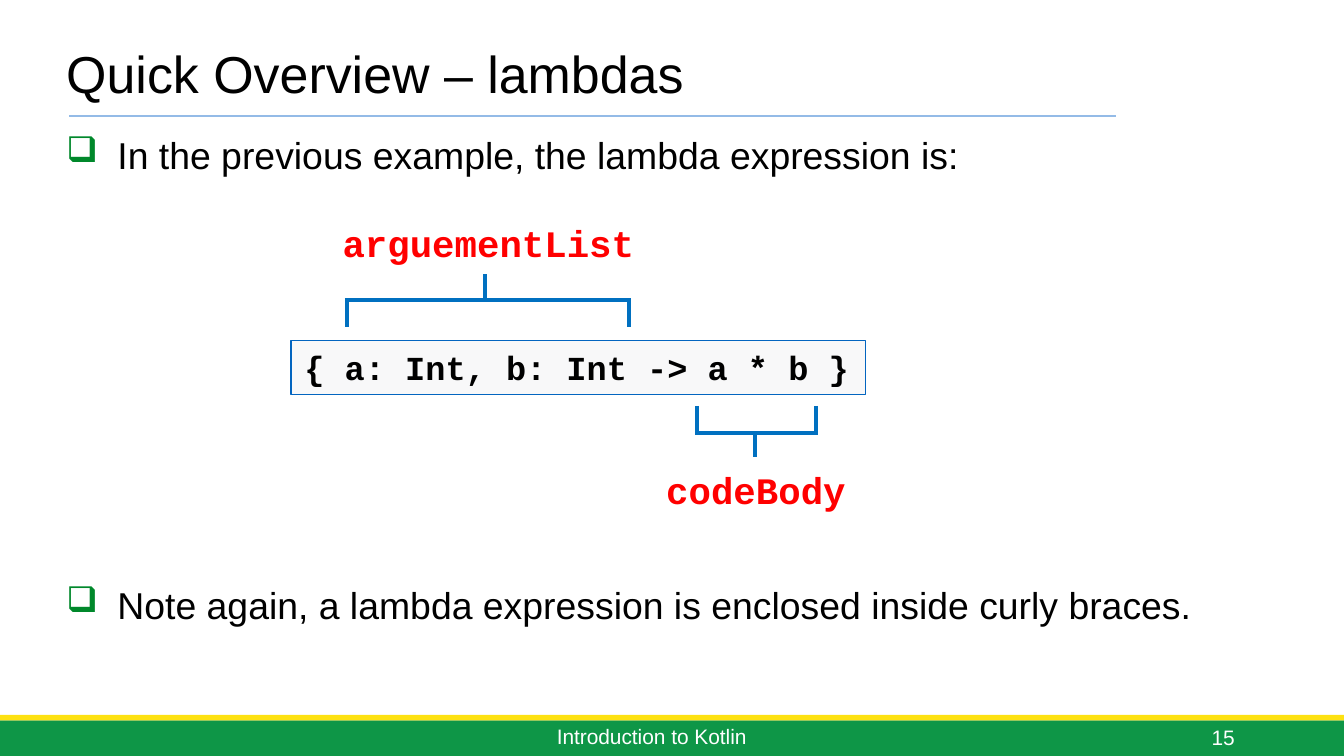
"""Build the Kotlin lambda syntax slide."""
from dataclasses import dataclass

from lxml import etree
from pptx import Presentation
from pptx.dml.color import RGBColor
from pptx.enum.shapes import MSO_CONNECTOR, MSO_SHAPE
from pptx.enum.text import MSO_ANCHOR, PP_ALIGN
from pptx.oxml.ns import qn
from pptx.util import Pt

RECTANGLE = MSO_SHAPE.RECTANGLE
STRAIGHT = MSO_CONNECTOR.STRAIGHT
TOP, BOTTOM = MSO_ANCHOR.TOP, MSO_ANCHOR.BOTTOM
LEFT, CENTER, RIGHT = PP_ALIGN.LEFT, PP_ALIGN.CENTER, PP_ALIGN.RIGHT

COLORS = {
    "text": "000000",
    "label": "FF0000",
    "footer_text": "FFFFFF",
    "footer": "0E9647",
    "stripe": "FDE111",
    "rule": "94BBE7",
    "bracket": "0070C0",
    "code_fill": "F8F8F9",
    "code_border": "0365C0",
    "bullet": "00882B",
}
BULLET_INDENT = 27.4
SPINE_OVERHANG = 1


@dataclass(frozen=True)
class Box:
    left: float
    top: float
    width: float
    height: float


@dataclass(frozen=True)
class Caption:
    lines: tuple[str, ...]
    box: Box
    size: float
    color: str = "text"
    font: str = "Arial"
    bold: bool = False
    align: PP_ALIGN = LEFT
    anchor: MSO_ANCHOR = TOP
    inset: tuple[float, float] = (4.5, 4.5)
    wrap: bool = True
    line_gap: float = 0
    bulleted: bool = False


@dataclass(frozen=True)
class Bracket:
    left: float
    right: float
    feet: float
    spine: float
    stem: float
    tip: float


def code_label(text: str, box: Box) -> Caption:
    """Describe a red label naming one part of the lambda."""
    return Caption((text,), box, 20, "label", "Courier New", True, CENTER,
                   inset=(7.2, 3.6), wrap=False)


BANDS = (
    (Box(0, 386, 720, 19), "footer"),
    (Box(0, 383, 720, 3), "stripe"),
)
CODE = Caption(("{ a: Int, b: Int -> a * b }",), Box(156, 182.3, 307.6, 29), 18,
               font="Courier New", bold=True, inset=(7.2, 3.6))
CAPTIONS = (
    Caption(("Quick Overview – lambdas",), Box(31, 0, 612, 60), 27.8, anchor=BOTTOM),
    Caption(("In the previous example, the lambda expression is:",
             "Note again, a lambda expression is enclosed inside curly braces."),
            Box(31, 66.2, 649, 338), 20, line_gap=217, bulleted=True),
    Caption(("Introduction to Kotlin",), Box(253.4, 385.2, 191.5, 18.7), 11.2,
            "footer_text", align=CENTER, anchor=BOTTOM, inset=(5.8, 2.9)),
    Caption(("15",), Box(516.2, 383.8, 149.8, 22.3), 11.2,
            "footer_text", align=RIGHT, anchor=BOTTOM),
    code_label("arguementList", Box(175.7, 114.5, 172, 31.7)),
    code_label("codeBody", Box(349.2, 247, 111.6, 31.7)),
)
BRACKETS = (
    Bracket(left=185.8, right=337, feet=175, spine=160.6, stem=259.9, tip=146.9),
    Bracket(left=373.5, right=437, feet=217.4, spine=231.8, stem=404.6, tip=244.8),
)


def rgb(name: str) -> RGBColor:
    """Look up a palette colour."""
    return RGBColor.from_string(COLORS[name])


def add_bullet(paragraph) -> None:
    """Give a paragraph a hanging green box bullet."""
    properties = paragraph._p.get_or_add_pPr()
    properties.set("marL", str(Pt(BULLET_INDENT)))
    properties.set("indent", str(-Pt(BULLET_INDENT)))
    color = etree.SubElement(properties, qn("a:buClr"))
    etree.SubElement(color, qn("a:srgbClr"), val=COLORS["bullet"])
    etree.SubElement(properties, qn("a:buSzPct"), val="95000")
    etree.SubElement(properties, qn("a:buChar"), char="❑")


def write(shape, caption: Caption) -> None:
    """Fill a shape with the caption's formatted text."""
    frame = shape.text_frame
    frame.word_wrap = caption.wrap
    frame.vertical_anchor = caption.anchor
    horizontal, vertical = caption.inset
    frame.margin_left = frame.margin_right = Pt(horizontal)
    frame.margin_top = frame.margin_bottom = Pt(vertical)
    frame.text = "\n".join(caption.lines)
    for index, paragraph in enumerate(frame.paragraphs):
        paragraph.alignment = caption.align
        paragraph.space_before = Pt(caption.line_gap if index else 0)
        paragraph.font.name = caption.font
        paragraph.font.size = Pt(caption.size)
        paragraph.font.bold = caption.bold
        paragraph.font.color.rgb = rgb(caption.color)
        if caption.bulleted:
            add_bullet(paragraph)


def add_caption(slide, caption: Caption) -> None:
    """Add a text box."""
    box = caption.box
    write(slide.shapes.add_textbox(Pt(box.left), Pt(box.top), Pt(box.width), Pt(box.height)),
          caption)


def add_rectangle(slide, box: Box, fill: str, border: str | None = None):
    """Add a filled rectangle with an optional thin border."""
    shape = slide.shapes.add_shape(
        RECTANGLE, Pt(box.left), Pt(box.top), Pt(box.width), Pt(box.height))
    shape.shadow.inherit = False
    shape.fill.solid()
    shape.fill.fore_color.rgb = rgb(fill)
    if border:
        shape.line.color.rgb = rgb(border)
        shape.line.width = Pt(0.75)
    else:
        shape.line.fill.background()
    return shape


def add_line(slide, x1: float, y1: float, x2: float, y2: float,
             color: str, width: float) -> None:
    """Add a straight line without a shadow."""
    line = slide.shapes.add_connector(STRAIGHT, Pt(x1), Pt(y1), Pt(x2), Pt(y2))
    line.line.color.rgb = rgb(color)
    line.line.width = Pt(width)
    etree.SubElement(line._element.spPr, qn("a:effectLst"))


def add_bracket(slide, bracket: Bracket) -> None:
    """Draw a bracket as a spine, two feet and a stem."""
    feet, spine = bracket.feet, bracket.spine
    segments = (
        (bracket.left - SPINE_OVERHANG, spine, bracket.right + SPINE_OVERHANG, spine),
        (bracket.left, feet, bracket.left, spine),
        (bracket.right, feet, bracket.right, spine),
        (bracket.stem, spine, bracket.stem, bracket.tip),
    )
    for segment in segments:
        add_line(slide, *segment, "bracket", 2)


def main() -> None:
    """Compose and save the slide."""
    deck = Presentation()
    deck.slide_width, deck.slide_height = Pt(720), Pt(405)
    slide = deck.slides.add_slide(deck.slide_layouts[6])
    for box, fill in BANDS:
        add_rectangle(slide, box, fill)
    add_line(slide, 37, 62, 598, 62, "rule", 1)
    write(add_rectangle(slide, CODE.box, "code_fill", "code_border"), CODE)
    for bracket in BRACKETS:
        add_bracket(slide, bracket)
    for caption in CAPTIONS:
        add_caption(slide, caption)
    deck.save("out.pptx")


if __name__ == "__main__":
    main()
